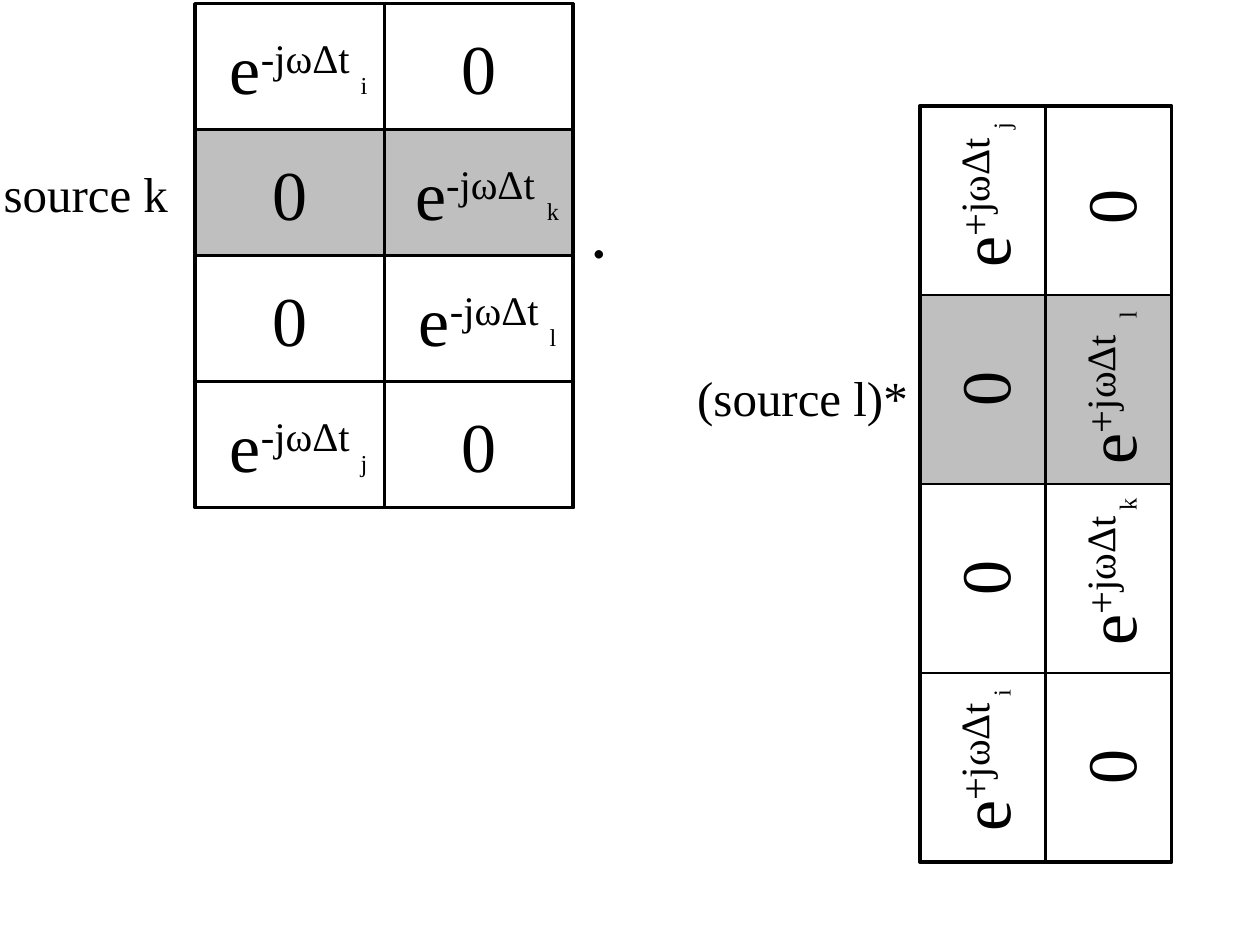
"""Build the slide of two delay matrices, one upright and one turned."""
import dataclasses
import pptx
import pptx.dml.color
import pptx.enum.shapes
import pptx.enum.text
import pptx.util

Inches = pptx.util.Inches
Align = pptx.enum.text.PP_ALIGN


@dataclasses.dataclass(frozen=True)
class Theme:
    """Hold the colours, fonts and type sizes."""
    ink: str = "000000"
    shade: str = "BFBFBF"
    serif: str = "Times New Roman"
    sans: str = "Calibri"
    large: int = 40
    label: int = 28
    small: int = 24


@dataclasses.dataclass(frozen=True)
class Grid:
    """Describe a matrix by its first cell centre, steps, turn and rows."""
    left: float
    top: float
    across: float
    down: float
    turn: int
    sign: str
    rows: tuple


THEME = Theme()
CELL = (1.5, 1)
ZERO, POWER, INDEX = (0.8, 0.77), (1.81, 0.77), (0.66, 0.37)
SHADED = 1
UPRIGHT = Grid(2.3, 0.53, 1.5, 1, 0, "-", (
    (0, "i", 0, 0), (1, "k", -0.03, 0), (1, "l", 0, 0), (0, "j", 0, 0)))
TURNED = Grid(7.8, 1.59, 1, 1.5, 270, "+", (
    (0, "j", -0.02, -0.05), (1, "l", -0.08, 0),
    (1, "k", -0.02, 0), (0, "i", 0, 0)))


def color(code):
    """Turn a hex code into a colour."""
    return pptx.dml.color.RGBColor.from_string(code)


def bounds(mid, size):
    """Return the left, top, width and height around a centre."""
    left, top = (m - s / 2 for m, s in zip(mid, size))
    return [Inches(v) for v in (left, top, *size)]


def shift(mid, along, over, turn):
    """Move a centre along and over the reading direction."""
    x, y = mid
    return (x + over, y - along) if turn else (x + along, y + over)


def rect(shapes, mid, size, turn, weight, fill=None):
    """Add an outlined rectangle."""
    shape = shapes.add_shape(
        pptx.enum.shapes.MSO_SHAPE.RECTANGLE, *bounds(mid, size))
    shape.rotation = turn
    shape.shadow.inherit = False
    if fill:
        shape.fill.solid()
        shape.fill.fore_color.rgb = color(fill)
    else:
        shape.fill.background()
    shape.line.color.rgb = color(THEME.ink)
    shape.line.width = pptx.util.Pt(weight)


def text(shapes, mid, size, parts, points, turn=0, font=THEME.serif,
         align=Align.CENTER):
    """Add a line of text from pairs of words and baseline percent."""
    box = shapes.add_textbox(*bounds(mid, size))
    box.rotation = turn
    frame = box.text_frame
    frame.word_wrap = True
    frame.auto_size = pptx.enum.text.MSO_AUTO_SIZE.SHAPE_TO_FIT_TEXT
    line = frame.paragraphs[0]
    line.alignment = align
    style = {"name": font, "size": pptx.util.Pt(points)}
    for words, base in parts:
        run = line.add_run()
        run.text = words
        for key, value in style.items():
            setattr(run.font, key, value)
        run.font.color.rgb = color(THEME.ink)
        if base:
            run._r.get_or_add_rPr().set("baseline", str(base * 1000))


def power(shapes, mid, grid, index, nudge):
    """Add an exponential with its index."""
    turn = grid.turn
    text(shapes, shift(mid, nudge, 0, turn), POWER,
         [("e", 0), (grid.sign + "jωΔt", 30)], THEME.large, turn)
    text(shapes, shift(mid, 0.59, -0.06, turn), INDEX,
         [(index, -25)], THEME.small, turn)


def matrix(slide, grid):
    """Add a grouped matrix and return its shapes."""
    shapes = slide.shapes.add_group_shape().shapes
    spots = {(r, c): (grid.left + c * grid.across, grid.top + r * grid.down)
             for r in range(len(grid.rows)) for c in range(2)}
    for (r, c), mid in spots.items():
        rect(shapes, mid, CELL, grid.turn, 1.5,
             THEME.shade if r == SHADED else None)
    mid = (grid.left + grid.across / 2, grid.top + 1.5 * grid.down)
    rect(shapes, mid, (6, 2) if grid.turn else (3, 4), grid.turn, 2)
    for r, (col, index, nudge, slip) in enumerate(grid.rows):
        power(shapes, spots[r, col], grid, index, nudge)
        text(shapes, shift(spots[r, 1 - col], slip, 0, grid.turn), ZERO,
             [("0", 0)], THEME.large, grid.turn)
    return shapes


def main():
    """Build and save the slide."""
    deck = pptx.Presentation()
    deck.slide_width, deck.slide_height = Inches(10), Inches(7.5)
    slide = deck.slides.add_slide(deck.slide_layouts[6])
    text(slide.shapes, (4.76, 1.83), ZERO, [(".", 0)], THEME.large,
         font=THEME.sans)
    matrix(slide, UPRIGHT)
    text(slide.shapes, (0.74, 1.53), (1.62, 0.57), [("source k", 0)],
         THEME.label, align=Align.LEFT)
    text(matrix(slide, TURNED), (6.46, 3.15), (2.05, 0.57),
         [("(source l)*", 0)], THEME.label, align=Align.LEFT)
    deck.save("out.pptx")


if __name__ == "__main__":
    main()
